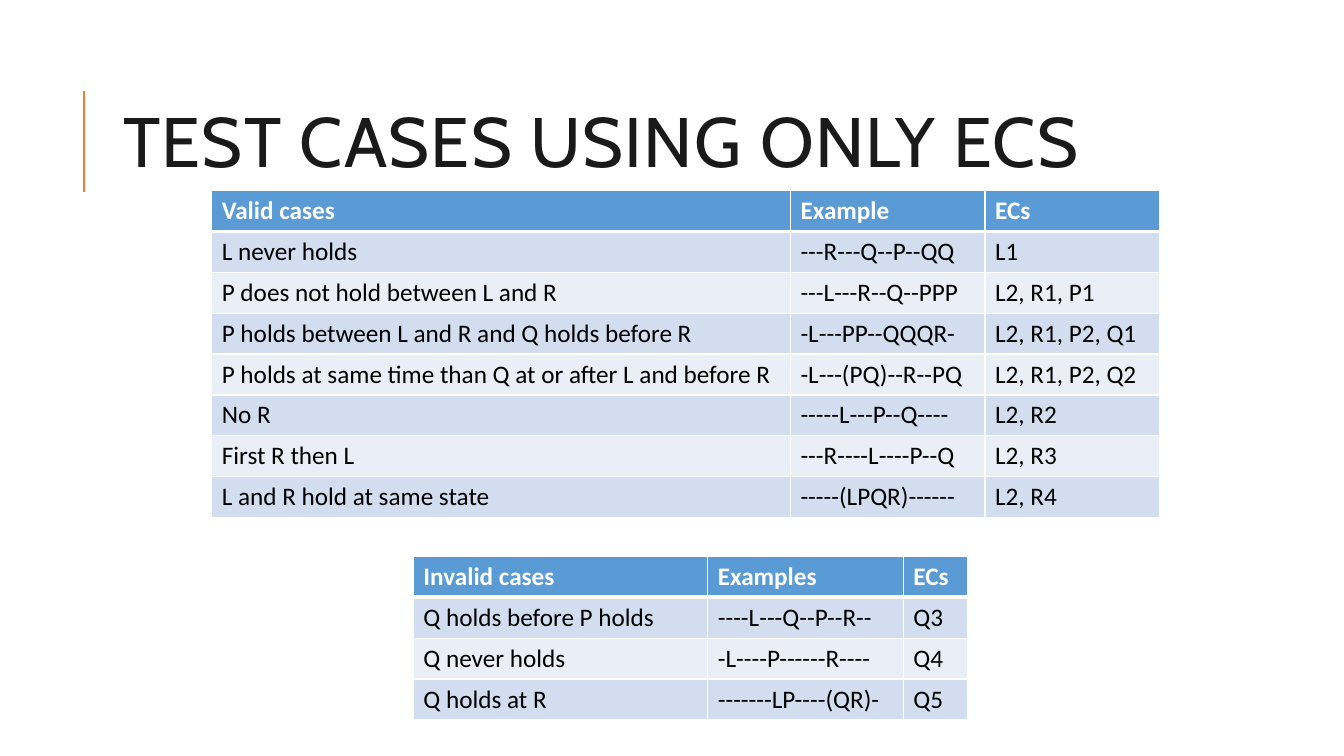
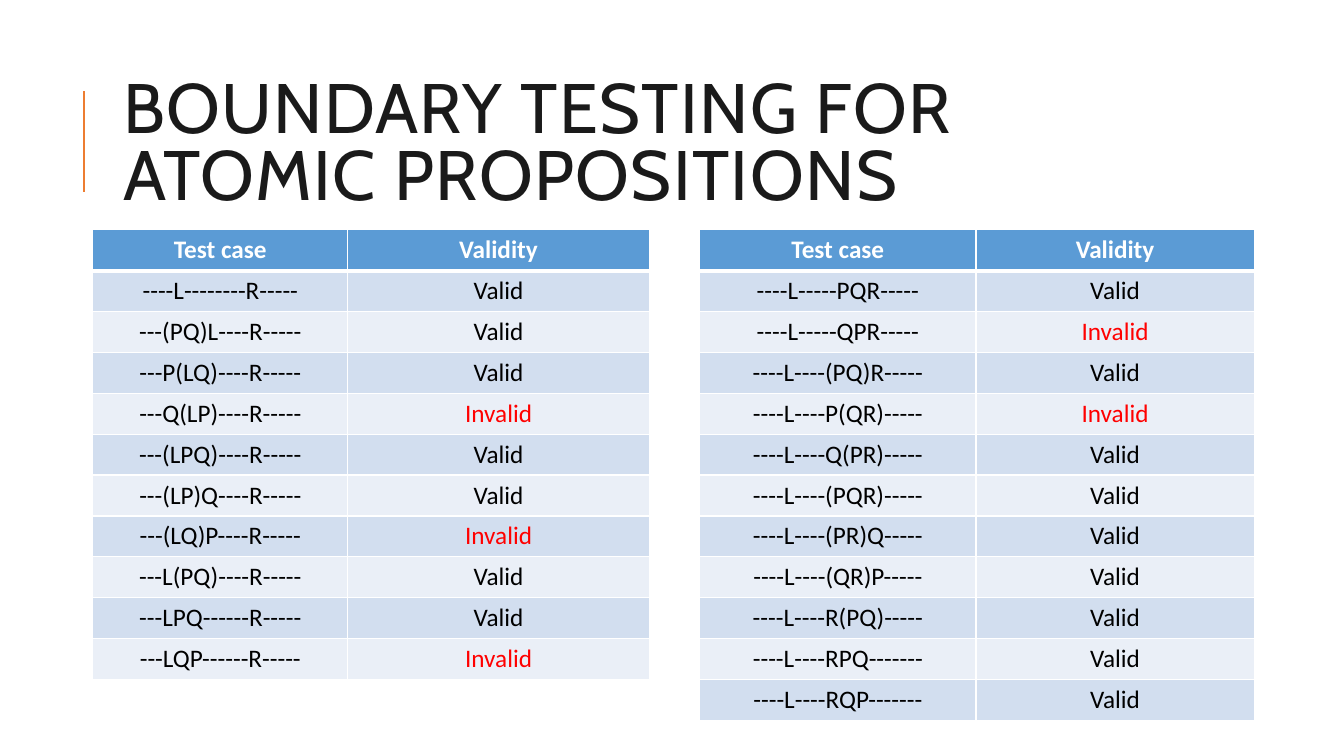
from dataclasses import dataclass

from lxml import etree
from pptx import Presentation
from pptx import util as u
from pptx.dml.color import RGBColor
from pptx.enum import shapes, text
from pptx.oxml import ns


@dataclass(frozen=True)
class Theme:
    """Colours, fonts and type sizes shared by the slides."""
    accent: str = "ED7D31"
    title_ink: str = "1A1A1A"
    header: str = "5B9BD5"
    bands: tuple = ("D2DEEF", "EAEFF7")
    rule: str = "FFFFFF"
    ink: str = "000000"
    alert: str = "FF0000"
    title_font: str = "Cabin"
    body_font: str = "Calibri"
    title_size: int = 50
    body_size: int = 18


THEME = Theme()
TITLE_BOX = (1.12, 0.64, 10.63, 1.64)
LEFT, CENTER = text.PP_ALIGN.LEFT, text.PP_ALIGN.CENTER


def assign(target, values):
    """Set each attribute named in a dict of format values."""
    for name, value in values.items():
        setattr(target, name, value)


def style_font(font, colour, **values):
    """Apply a colour and further values to a font."""
    assign(font, values)
    font.color.rgb = RGBColor.from_string(colour)


def add_accent(slide, x, top, bottom):
    """Draw the vertical accent line beside the title."""
    accent = slide.shapes.add_connector(
        shapes.MSO_CONNECTOR.STRAIGHT,
        *map(u.Inches, (x, bottom, x, top)))
    accent.line.color.rgb = RGBColor.from_string(THEME.accent)
    accent.line.width = u.Pt(1.5)
    etree.SubElement(accent.element.spPr, ns.qn("a:effectLst"))


def add_title(slide, title, box):
    """Place and format the title placeholder in its box."""
    heading = slide.shapes.title
    assign(heading, dict(zip(("left", "top", "width", "height"), map(u.Inches, box))))
    frame = heading.text_frame
    frame.text = title
    assign(frame, {"word_wrap": True, "auto_size": text.MSO_AUTO_SIZE.NONE,
                   "vertical_anchor": text.MSO_ANCHOR.MIDDLE})
    paragraph = frame.paragraphs[0]
    assign(paragraph, {"alignment": LEFT, "line_spacing": 0.8})
    font = paragraph.runs[0].font
    style_font(font, THEME.title_ink, name=THEME.title_font,
               size=u.Pt(THEME.title_size), bold=False)
    paragraph.runs[0]._r.get_or_add_rPr().set("spc", "100")


def add_borders(cell, bottom):
    """Draw white cell borders with the given bottom width in points."""
    properties = cell._tc.get_or_add_tcPr()
    for side, width in {"L": 1, "R": 1, "T": 1, "B": bottom}.items():
        edge = etree.SubElement(properties, ns.qn(f"a:ln{side}"), w=str(u.Pt(width)))
        fill = etree.SubElement(edge, ns.qn("a:solidFill"))
        etree.SubElement(fill, ns.qn("a:srgbClr"), val=THEME.rule)


def fill_cell(cell, content, row, align):
    """Write and format one cell according to its row and content."""
    is_header = row == 0
    add_borders(cell, 3 if row == 0 else 1)
    cell.fill.solid()
    background = THEME.header if is_header else THEME.bands[(row - 1) % 2]
    cell.fill.fore_color.rgb = RGBColor.from_string(background)
    cell.text = content
    paragraph = cell.text_frame.paragraphs[0]
    paragraph.alignment = align
    body_colour = THEME.alert if content == "Invalid" else THEME.ink
    style_font(paragraph.runs[0].font, THEME.rule if is_header else body_colour,
               name=THEME.body_font, size=u.Pt(THEME.body_size), bold=is_header)


def add_case_table(slide, box, columns, rows, align=LEFT):
    """Fill a box with a banded table of equally high rows."""
    left, top, width, height = map(u.Inches, box)
    cases = slide.shapes.add_table(len(rows), len(columns), left, top, width, height).table
    for column, column_width in zip(cases.columns, columns):
        column.width = u.Inches(column_width)
    for r, row in enumerate(rows):
        for c, content in enumerate(row):
            fill_cell(cases.cell(r, c), content, r, align)


def add_case_slide(deck, title):
    """Add a title-only slide with the shared title and accent."""
    slide = deck.slides.add_slide(deck.slide_layouts[5])
    add_accent(slide, 0.83, 0.9, 1.9)
    add_title(slide, title, TITLE_BOX)
    return slide


def add_class_slide(deck):
    """Build the slide of cases from equivalence classes."""
    slide = add_case_slide(deck, "TEST CASES USING ONLY ECS")
    add_case_table(slide, (2.1, 1.89, 9.41, 3.24), (5.74, 1.93, 1.73), [
        ("Valid cases", "Example", "ECs"),
        ("L never holds", "---R---Q--P--QQ", "L1"),
        ("P does not hold between L and R", "---L---R--Q--PPP", "L2, R1, P1"),
        ("P holds between L and R and Q holds before R", "-L---PP--QQQR-",
         "L2, R1, P2, Q1"),
        ("P holds at same time than Q at or after L and before R",
         "-L---(PQ)--R--PQ", "L2, R1, P2, Q2"),
        ("No R", "-----L---P--Q----", "L2, R2"),
        ("First R then L", "---R----L----P--Q", "L2, R3"),
        ("L and R hold at same state", "-----(LPQR)------", "L2, R4"),
    ])
    add_case_table(slide, (4.1, 5.52, 5.5, 1.62), (2.92, 1.94, 0.64), [
        ("Invalid cases", "Examples", "ECs"),
        ("Q holds before P holds", "----L---Q--P--R--", "Q3"),
        ("Q never holds", "-L----P------R----", "Q4"),
        ("Q holds at R", "-------LP----(QR)-", "Q5"),
    ])


def validity_rows(traces, invalid):
    """Pair each trace with its validity under a header row."""
    return [("Test case", "Validity")] + [
        (trace, "Invalid" if trace in invalid else "Valid") for trace in traces]


def add_boundary_slide(deck):
    """Build the slide of boundary cases around L and R."""
    slide = add_case_slide(deck, "BOUNDARY TESTING FOR ATOMIC PROPOSITIONS")
    around_l = ["----L--------R-----"] + [f"---{start}R-----" for start in (
        "(PQ)L----", "P(LQ)----", "Q(LP)----", "(LPQ)----", "(LP)Q----",
        "(LQ)P----", "L(PQ)----", "LPQ------", "LQP------")]
    around_r = [f"----L----{end}" for end in (
        "-PQR-----", "-QPR-----", "(PQ)R-----", "P(QR)-----", "Q(PR)-----",
        "(PQR)-----", "(PR)Q-----", "(QR)P-----", "R(PQ)-----", "RPQ-------",
        "RQP-------")]
    invalid = {around_l[i] for i in (3, 6, 9)} | {around_r[i] for i in (1, 3)}
    add_case_table(slide, (0.92, 2.28, 5.52, 4.46), (2.53, 2.99),
                   validity_rows(around_l, invalid), CENTER)
    add_case_table(slide, (6.94, 2.28, 5.49, 4.87), (2.74, 2.76),
                   validity_rows(around_r, invalid), CENTER)


def main():
    """Build and save the deck."""
    deck = Presentation()
    assign(deck, {"slide_width": u.Inches(13.33), "slide_height": u.Inches(7.5)})
    add_class_slide(deck)
    add_boundary_slide(deck)
    deck.save("out.pptx")


main()
